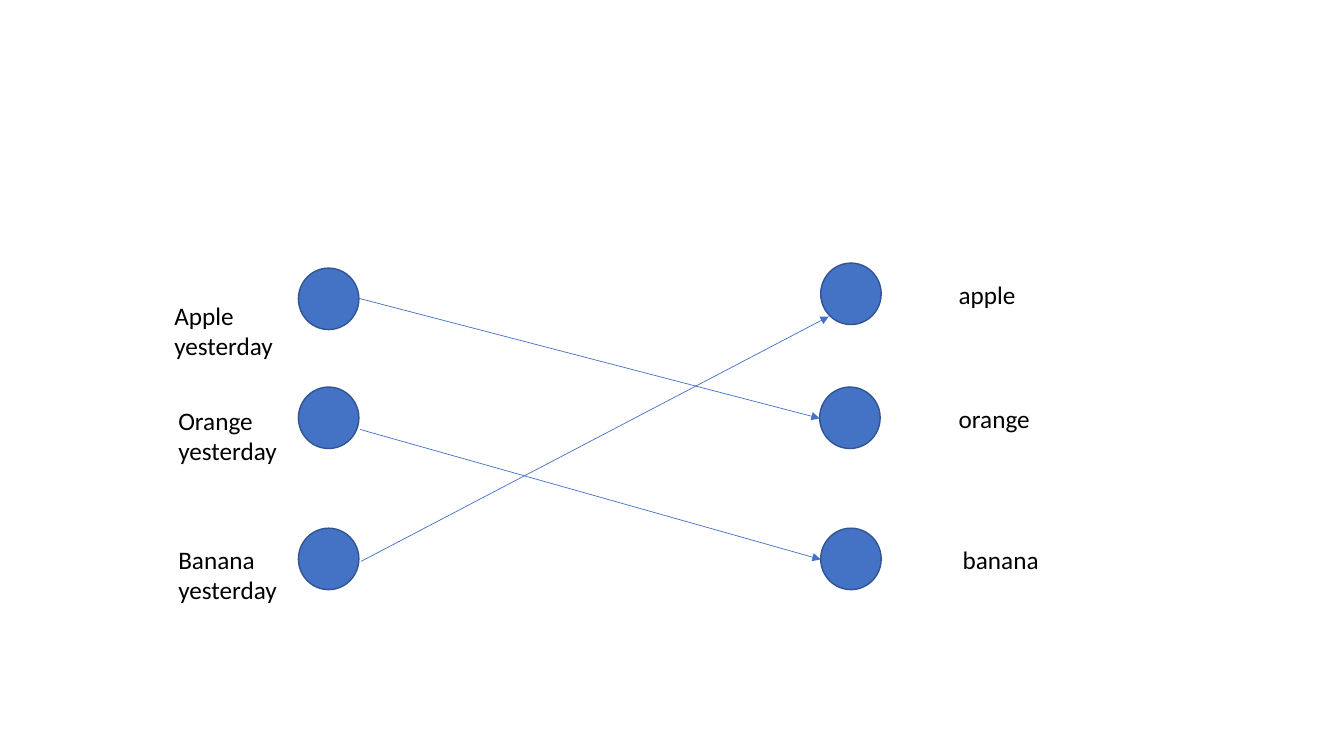
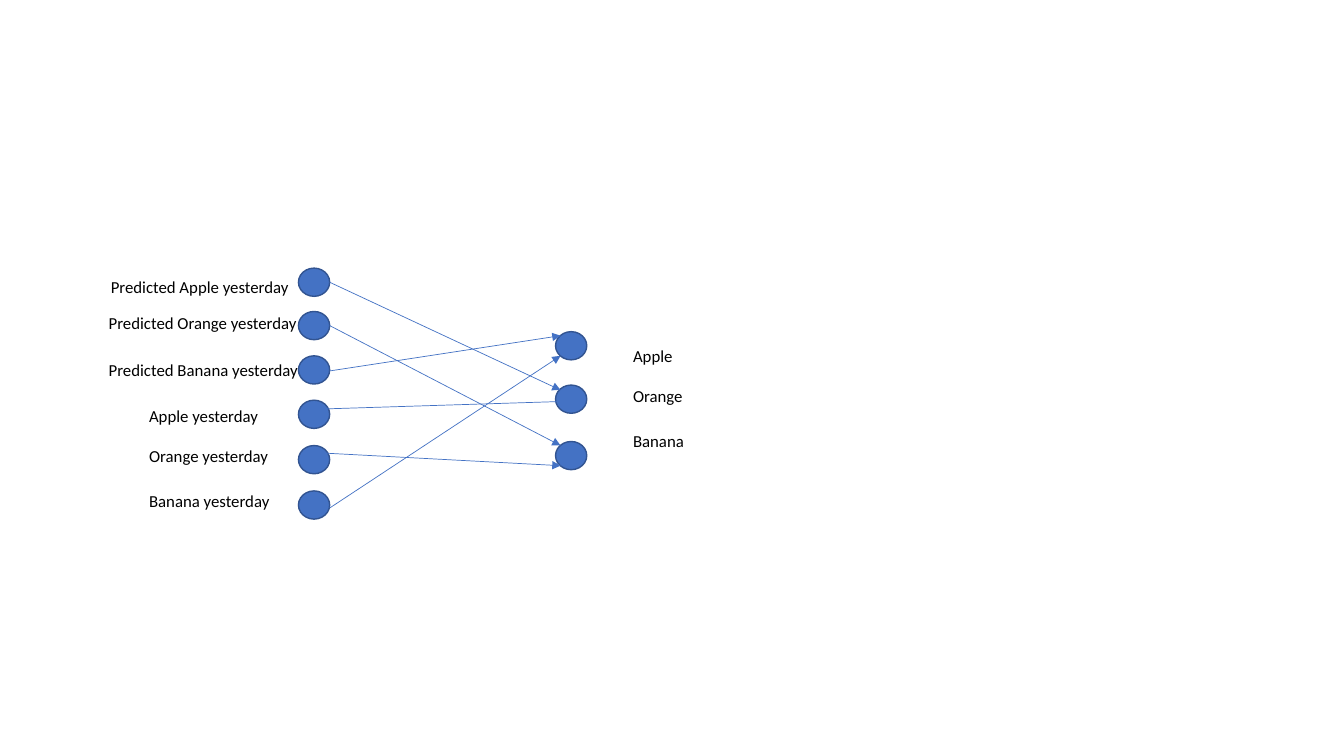
from lxml.etree import SubElement
from pptx import Presentation
from pptx.dml.color import RGBColor
from pptx.enum.shapes import MSO_CONNECTOR, MSO_SHAPE
from pptx.enum.text import MSO_AUTO_SIZE
from pptx.oxml.ns import qn
from pptx.util import Inches, Pt

# Shared style
FONT = "Calibri"
NODE_FILL, NODE_EDGE, TEXT_COLOUR = "4472C4", "325491", "000000"
BLANK_LAYOUT = 6
NODE_LEFT = 2.96


def colour(hex_value):
    return RGBColor.from_string(hex_value)


def add_node(slide, left, top, width, height):
    node = slide.shapes.add_shape(MSO_SHAPE.OVAL, Inches(left), Inches(top),
                                  Inches(width), Inches(height))
    node.shadow.inherit = False
    node.fill.solid()
    node.fill.fore_color.rgb = colour(NODE_FILL)
    node.line.color.rgb = colour(NODE_EDGE)
    node.line.width = Pt(1)


def add_arrow(slide, start, end):
    arrow = slide.shapes.add_connector(MSO_CONNECTOR.STRAIGHT,
                                       *map(Inches, (*start, *end)))
    arrow.line.color.rgb = colour(NODE_FILL)
    arrow.line.width = Pt(0.5)
    SubElement(arrow.line._get_or_add_ln(), qn("a:tailEnd"), type="triangle")
    SubElement(arrow._element.spPr, qn("a:effectLst"))


def add_label(slide, lines, left, top, width, height, size, wrap):
    label = slide.shapes.add_textbox(Inches(left), Inches(top),
                                     Inches(width), Inches(height))
    frame = label.text_frame
    frame.word_wrap = wrap
    frame.auto_size = MSO_AUTO_SIZE.SHAPE_TO_FIT_TEXT
    for index, line in enumerate(lines):
        paragraph = frame.add_paragraph() if index else frame.paragraphs[0]
        run = paragraph.add_run()
        run.text = line
        run.font.name = FONT
        run.font.size = Pt(size)
        run.font.color.rgb = colour(TEXT_COLOUR)


def build_fruit_mapping(slide):
    # Nodes: yesterday on the left, today on the right
    nodes = [(NODE_LEFT, top) for top in (2.66, 3.84, 5.24)]
    nodes += [(8.14, 2.61), (8.13, 3.84), (8.14, 5.24)]
    for left, top in nodes:
        add_node(slide, left, top, 0.6, 0.61)

    # Arrows from yesterday to today
    for start, end in (((3.56, 2.96), (8.13, 4.15)),
                       ((3.58, 5.57), (8.22, 3.14)),
                       ((3.57, 4.26), (8.14, 5.55))):
        add_arrow(slide, start, end)

    # Labels
    for fruit, left, top in (("Apple", 1.63, 2.93), ("Orange", 1.67, 3.97),
                             ("Banana", 1.67, 5.35)):
        add_label(slide, (fruit, "yesterday"), left, top, 1.19, 0.71, 18, False)
    for fruit, left, top, width in (("apple", 9.41, 2.72, 0.77),
                                    ("orange", 9.41, 3.95, 0.92),
                                    ("banana", 9.45, 5.35, 0.96)):
        add_label(slide, (fruit,), left, top, width, 0.4, 18, False)


def build_prediction_mapping(slide):
    # Nodes: six inputs and three outputs
    nodes = [(NODE_LEFT, top) for top in (2.66, 3.09, 3.53, 3.97, 4.42, 4.87)]
    nodes += [(5.51, top) for top in (3.29, 3.82, 4.38)]
    for left, top in nodes:
        add_node(slide, left, top, 0.31, 0.28)

    # Arrows from inputs to outputs
    for start, end in (((3.27, 2.8), (5.56, 3.87)),
                       ((3.27, 3.23), (5.56, 4.42)),
                       ((3.27, 3.68), (5.56, 3.33)),
                       ((3.27, 5.04), (5.56, 3.53)),
                       ((3.12, 4.49), (5.56, 4.62)),
                       ((3.12, 4.06), (5.67, 3.98))):
        add_arrow(slide, start, end)

    # Labels
    for text, left, top in (("Predicted Apple yesterday", 1, 2.7),
                            ("Predicted Orange yesterday", 0.98, 3.05),
                            ("Predicted Banana yesterday", 0.98, 3.52),
                            ("Apple yesterday", 1.38, 3.98),
                            ("Orange yesterday", 1.38, 4.37),
                            ("Banana yesterday", 1.38, 4.82),
                            ("Apple", 6.18, 3.38),
                            ("Orange", 6.18, 3.78),
                            ("Banana", 6.18, 4.22)):
        add_label(slide, (text,), left, top, 2.18, 0.3, 12, True)


def main():
    deck = Presentation()
    deck.slide_width, deck.slide_height = Inches(13.33), Inches(7.5)
    for build in (build_fruit_mapping, build_prediction_mapping):
        build(deck.slides.add_slide(deck.slide_layouts[BLANK_LAYOUT]))
    deck.save("out.pptx")


if __name__ == "__main__":
    main()
